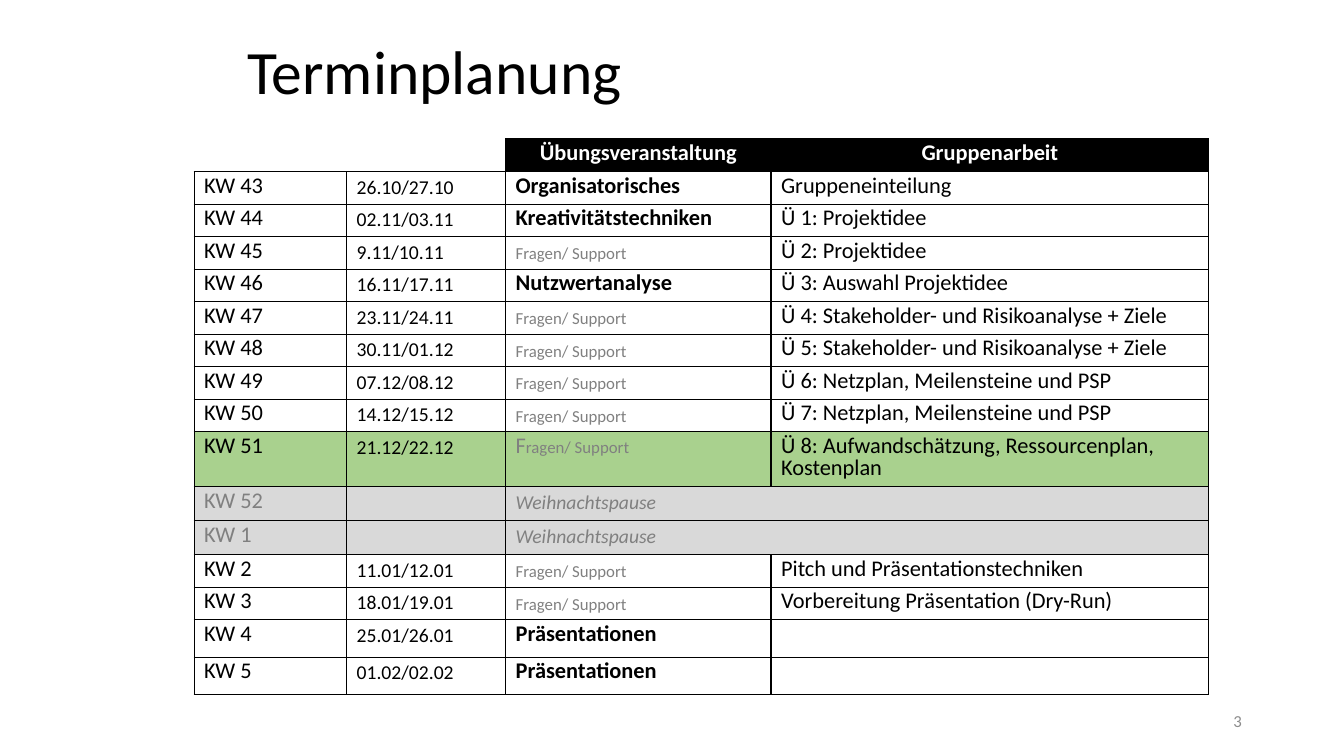
import lxml.etree
import pptx
import pptx.dml.color
import pptx.enum.text
import pptx.oxml.ns
import pptx.util

COLORS = {
    "black": "000000",
    "white": "FFFFFF",
    "muted": "808080",
    "page": "8C8C8C",
    "current": "A9D18E",
    "holiday": "D9D9D9",
}
ALIGN = pptx.enum.text.PP_ALIGN
ANCHOR = pptx.enum.text.MSO_ANCHOR
SUPPORT = [("Fragen/ Support", {"size": 12, "color": "muted"})]
BREAK = [("Weihnachtspause", {"size": 14, "color": "muted", "italic": True})]


def topic(text):
    return [(text, {"bold": True})]


# Week, dates, exercise session, group work, row height, row fill
SCHEDULE = [
    ("KW 43", "26.10/27.10", topic("Organisatorisches"), "Gruppeneinteilung", 3.87, None),
    ("KW 44", "02.11/03.11", topic("Kreativitätstechniken"), "Ü 1: Projektidee", 3.87, "white"),
    ("KW 45", "9.11/10.11", SUPPORT, "Ü 2: Projektidee", 3.87, None),
    ("KW 46", "16.11/17.11", topic("Nutzwertanalyse"), "Ü 3: Auswahl Projektidee", 3.87, None),
    ("KW 47", "23.11/24.11", SUPPORT, "Ü 4: Stakeholder- und Risikoanalyse + Ziele", 3.87, None),
    ("KW 48", "30.11/01.12", SUPPORT, "Ü 5: Stakeholder- und Risikoanalyse + Ziele", 3.87, None),
    ("KW 49", "07.12/08.12", SUPPORT, "Ü 6: Netzplan, Meilensteine und PSP", 3.87, None),
    ("KW 50", "14.12/15.12", SUPPORT, "Ü 7: Netzplan, Meilensteine und PSP", 3.87, None),
    ("KW 51", "21.12/22.12",
     [("F", {"color": "muted"}), ("ragen/ Support", {"size": 12, "color": "muted"})],
     "Ü 8: Aufwandschätzung, Ressourcenplan, Kostenplan", 6.55, "current"),
    ("KW 52", "", BREAK, "", 4.05, "holiday"),
    ("KW 1", "", BREAK, "", 4.05, "holiday"),
    ("KW 2", "11.01/12.01", SUPPORT, "Pitch und Präsentationstechniken", 3.87, None),
    ("KW 3", "18.01/19.01", SUPPORT, "Vorbereitung Präsentation (Dry-Run)", 3.87, None),
    ("KW 4", "25.01/26.01", topic("Präsentationen"), "", 4.46, None),
    ("KW 5", "01.02/02.02", topic("Präsentationen"), "", 4.46, None),
]
HEADER_HEIGHT = 3.95
COLUMN_WIDTHS = [18.15, 18.93, 31.6, 52.1]


def grid(units):
    """Convert grid units to a length: 160 columns by 90 rows, 12 per inch."""
    return pptx.util.Inches(units / 12)


def add_text(paragraph, text, size=16, color="black", bold=False, italic=False, font="Calibri"):
    run = paragraph.add_run()
    run.text = text
    run.font.name = font
    run.font.size = pptx.util.Pt(size)
    run.font.bold = bold
    run.font.italic = italic
    run.font.color.rgb = pptx.dml.color.RGBColor.from_string(COLORS[color])


class SlideBuilder:
    def __init__(self, slide):
        self.slide = slide

    def text_box(self, left, top, width, height, text, align=ALIGN.LEFT, spacing=1.0, **style):
        shape = self.slide.shapes.add_textbox(*map(grid, (left, top, width, height)))
        frame = shape.text_frame
        frame.word_wrap = True
        frame.vertical_anchor = ANCHOR.MIDDLE
        paragraph = frame.paragraphs[0]
        paragraph.alignment = align
        paragraph.line_spacing = spacing
        add_text(paragraph, text, **style)

    def table(self, left, top, widths, heights):
        shape = self.slide.shapes.add_table(
            len(heights), len(widths), *map(grid, (left, top, sum(widths), sum(heights))))
        table = shape.table
        table.horz_banding = table.first_row = False
        for column, width in zip(table.columns, widths):
            column.width = grid(width)
        for row, height in zip(table.rows, heights):
            row.height = grid(height)
        return table

    def cell(self, cell, runs=(), fill=None, align=ALIGN.LEFT, anchor=ANCHOR.TOP, sides="LRTB"):
        self.borders(cell, sides)
        if fill:
            cell.fill.solid()
            cell.fill.fore_color.rgb = pptx.dml.color.RGBColor.from_string(COLORS[fill])
        else:
            cell.fill.background()
        cell.vertical_anchor = anchor
        paragraph = cell.text_frame.paragraphs[0]
        paragraph.alignment = align
        paragraph.line_spacing = pptx.util.Pt(16)
        for text, style in runs:
            add_text(paragraph, text, **style)
        if not runs:
            # Keeps an empty cell from stretching its row
            lxml.etree.SubElement(paragraph._p, pptx.oxml.ns.qn("a:endParaRPr"), sz="1200")

    def borders(self, cell, sides):
        """Draw black lines on the named sides and clear the others."""
        properties = cell._tc.get_or_add_tcPr()
        qn = pptx.oxml.ns.qn
        for side in "LRTB":
            line = lxml.etree.SubElement(properties, qn(f"a:ln{side}"), w="12700")
            if side in sides:
                fill = lxml.etree.SubElement(line, qn("a:solidFill"))
                lxml.etree.SubElement(fill, qn("a:srgbClr"), val=COLORS["black"])
            else:
                lxml.etree.SubElement(line, qn("a:noFill"))

    def schedule(self, left, top):
        heights = [HEADER_HEIGHT] + [entry[4] for entry in SCHEDULE]
        table = self.table(left, top, COLUMN_WIDTHS, heights)
        self.cell(table.cell(0, 0), sides="B")
        self.cell(table.cell(0, 1), sides="RB")
        for column, heading in enumerate(("Übungsveranstaltung", "Gruppenarbeit"), start=2):
            self.cell(table.cell(0, column), [(heading, {"color": "white", "bold": True})],
                      fill="black", align=ALIGN.CENTER, anchor=ANCHOR.MIDDLE)
        for row, (week, dates, session, work, _, fill) in enumerate(SCHEDULE, start=1):
            holiday = fill == "holiday"
            contents = [
                [(week, {"color": "muted" if holiday else "black"})],
                [(dates, {"size": 14})] if dates else [],
                session,
                [(work, {})] if work else [],
            ]
            for column, runs in enumerate(contents):
                self.cell(table.cell(row, column), runs, fill=fill)
            if holiday:
                table.cell(row, 2).merge(table.cell(row, 3))


def main():
    presentation = pptx.Presentation()
    presentation.slide_width = pptx.util.Inches(13.33)
    presentation.slide_height = pptx.util.Inches(7.5)
    builder = SlideBuilder(presentation.slides.add_slide(presentation.slide_layouts[6]))
    builder.text_box(28.25, 2.75, 103.4, 12.2, "Terminplanung", spacing=0.9, size=44)
    builder.text_box(113, 83.4, 36, 4.8, "3", align=ALIGN.RIGHT, size=12, color="page")
    builder.schedule(23.1, 16.5)
    presentation.save("out.pptx")


if __name__ == "__main__":
    main()
